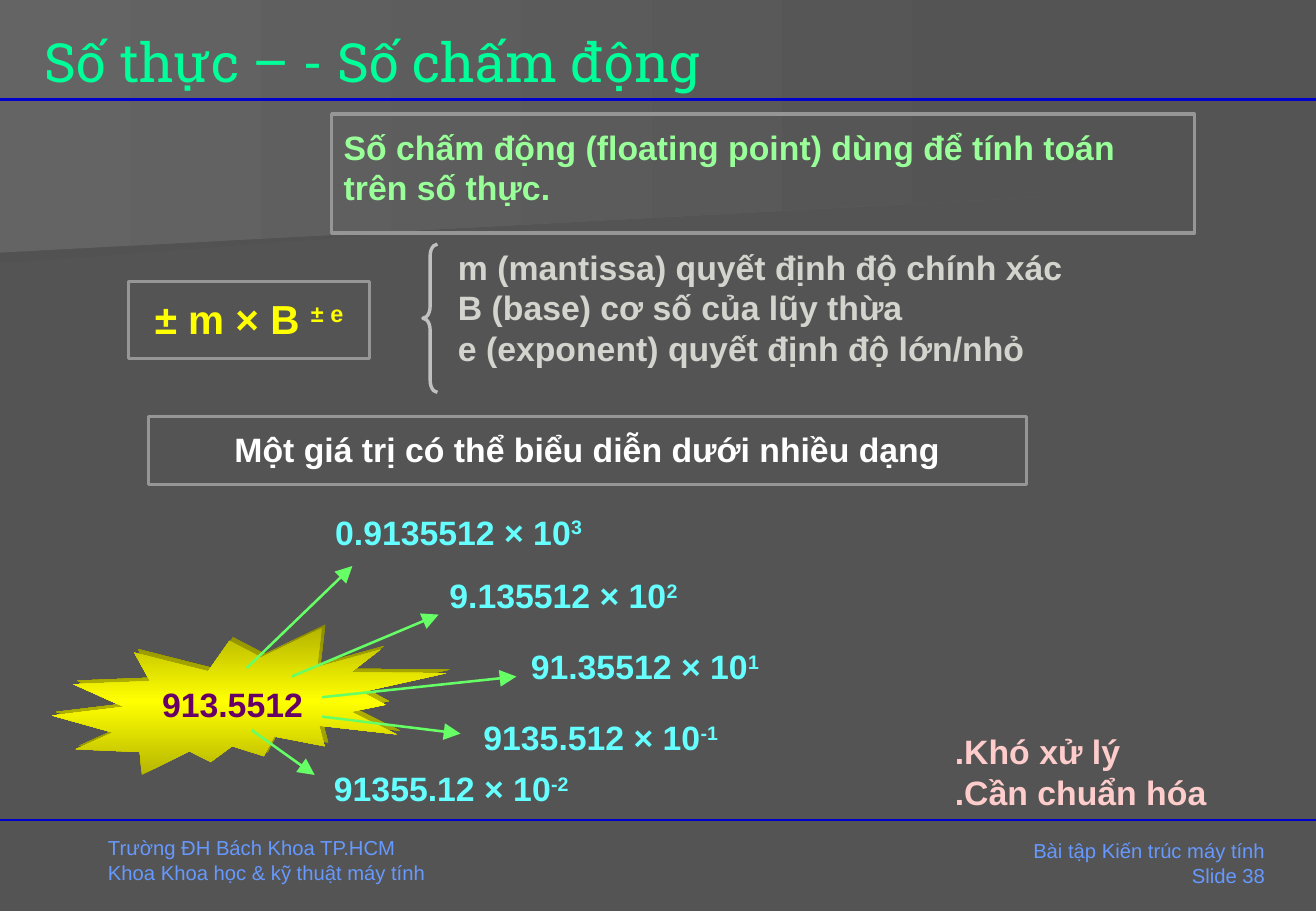
from copy import deepcopy

from lxml import etree
from pptx import Presentation
from pptx.dml.color import RGBColor
from pptx.enum.shapes import MSO_CONNECTOR, MSO_SHAPE
from pptx.enum.text import MSO_ANCHOR, PP_ALIGN
from pptx.oxml.ns import qn
from pptx.util import Inches, Pt

LEFT, CENTER, RIGHT = PP_ALIGN.LEFT, PP_ALIGN.CENTER, PP_ALIGN.RIGHT
TOP, MIDDLE = MSO_ANCHOR.TOP, MSO_ANCHOR.MIDDLE
RECTANGLE, BRACE, SEAL = MSO_SHAPE.RECTANGLE, MSO_SHAPE.LEFT_BRACE, MSO_SHAPE.EXPLOSION2
STRAIGHT = MSO_CONNECTOR.STRAIGHT

COLORS = {
    "background": "545454", "beam": "646464", "beam shade": "525252",
    "rule": "0000CC", "footer": "6699FF", "title": "00FF99",
    "frame": "969696", "brace": "C0C0C0", "intro": "99FF99",
    "formula": "FFFF00", "terms": "D4D4CE", "heading": "FFFFFF",
    "seal": "FFFF00", "seal edge": "B6B600", "seal side": "8C8C00",
    "value": "660066", "form": "66FFFF", "arrow": "66FF66", "remark": "FFCCCC",
}

TITLE = "Số thực – - Số chấm động"
BEAMS = [
    ([(0, 1.01), (8.44, 1.01), (8.43, 1.53), (0, 2.17)], "beam shade"),
    ([(0, 0), (8.58, 0), (8.58, 1.62), (0, 2.08)], "beam"),
]
RULES = [0.82, 6.75]
FOOTERS = [
    ((0.79, 6.83, 3.22, 0.5), LEFT, TOP,
     ["Trường ĐH Bách Khoa TP.HCM", "Khoa Khoa học & kỹ thuật máy tính"]),
    ((7.65, 6.86, 2.86, 0.49), RIGHT, MIDDLE,
     ["Bài tập Kiến trúc máy tính", "Slide 38"]),
]
FRAMES = [
    ((2.73, 0.94, 7.1, 0.98), "intro", 20, LEFT,
     ["Số chấm động (floating point) dùng để tính toán trên số thực."]),
    ((1.06, 2.32, 1.98, 0.63), "formula", 24, CENTER, [("± m × B ", "± e")]),
    ((1.22, 3.43, 7.23, 0.56), "heading", 20, CENTER,
     ["Một giá trị có thể biểu diễn dưới nhiều dạng"]),
]
NOTES = [
    ((3.67, 1.93, 6.23, 1.2), "terms",
     ["m (mantissa) quyết định độ chính xác",
      "B (base) cơ số của lũy thừa",
      "e (exponent) quyết định độ lớn/nhỏ"]),
    ((7.76, 5.92, 2.73, 0.87), "remark", [".Khó xử lý", ".Cần chuẩn hóa"]),
]
BRACE_AREA = (3.48, 2.01, 0.12, 1.22)
SEAL_AREA = (0.43, 5.17, 3.24, 1.21)
SEAL_DEPTH = 0.03
VALUE = "913.5512"
FORMS = [
    ((2.66, 4.11), "0.9135512 × 10", "3", (2.03, 5.5), (2.9, 4.66)),
    ((3.6, 4.63), "9.135512 × 10", "2", (2.4, 5.57), (3.61, 5.06)),
    ((4.27, 5.22), "91.35512 × 10", "1", (2.65, 5.74), (4.25, 5.57)),
    ((3.88, 5.8), "9135.512 × 10", "-1", (2.65, 5.9), (3.79, 6.04)),
    ((2.65, 6.22), "91355.12 × 10", "-2", (2.07, 6.01), (2.59, 6.38)),
]
FORM_SIZE = (2.84, 0.56)

deck = Presentation()
deck.slide_width, deck.slide_height = Inches(10.83), Inches(7.5)
page = deck.slides.add_slide(deck.slide_layouts[5])
shapes = page.shapes


def rgb(name):
    return RGBColor.from_string(COLORS[name])


def inches(values):
    return [Inches(value) for value in values]


def write(box, lines, color, size, align=LEFT, anchor=TOP, bold=True,
          font="Arial", inset=0.1):
    frame = box.text_frame
    frame.word_wrap = True
    frame.vertical_anchor = anchor
    frame.margin_left = frame.margin_right = Inches(0.1)
    frame.margin_top = frame.margin_bottom = Inches(inset)
    for index, line in enumerate(lines):
        para = frame.add_paragraph() if index else frame.paragraphs[0]
        para.alignment = align
        base, *power = (line,) if isinstance(line, str) else line
        para.text = base
        for exponent in power:
            span = para.add_run()
            span.text = exponent
            span._r.get_or_add_rPr().set("baseline", "30000")
        for span in para.runs:
            span.font.name, span.font.size = font, Pt(size)
            span.font.bold = bold
            span.font.color.rgb = rgb(color)


def add_text(area, lines, color, size=20, **options):
    write(shapes.add_textbox(*inches(area)), lines, color, size, **options)


def add_outline(kind, area, color):
    shape = shapes.add_shape(kind, *inches(area))
    shape.shadow.inherit = False
    shape.fill.background()
    shape.line.color.rgb, shape.line.width = rgb(color), Pt(2)
    return shape


def shade(shape, names, angle):
    shape.shadow.inherit = False
    shape.line.fill.background()
    shape.fill.gradient()
    shape.fill.gradient_angle = angle
    stop_list = next(shape._element.iter(qn("a:gsLst")))
    for _ in names[2:]:
        stop_list.append(deepcopy(stop_list[0]))
    for index, (stop, name) in enumerate(zip(shape.fill.gradient_stops, names)):
        stop.position = index / (len(names) - 1)
        stop.color.rgb = rgb(name)


def add_line(start, end, color, arrow=False):
    line = shapes.add_connector(STRAIGHT, *inches(start + end))
    line.line.color.rgb, line.line.width = rgb(color), Pt(1.5)
    if arrow:
        etree.SubElement(line.line._get_or_add_ln(), qn("a:tailEnd"),
                         type="triangle", w="lg", len="lg")
    etree.SubElement(line._element.spPr, qn("a:effectLst"))


page.background.fill.solid()
page.background.fill.fore_color.rgb = rgb("background")
for points, color in BEAMS:
    start, *corners = [inches(point) for point in points]
    outline = shapes.build_freeform(*start)
    outline.add_line_segments(corners)
    shade(outline.convert_to_shape(), [color, "background"], 0)

title = shapes.title
title.left, title.top, title.width, title.height = inches((0.27, 0.19, 10.25, 0.63))
write(title, [TITLE], "title", 32, anchor=MIDDLE, bold=False,
      font="Roboto Slab", inset=0.05)
shapes._spTree.append(title._element)

for height in RULES:
    add_line((0, height), (10.83, height), "rule")
for area, align, anchor, lines in FOOTERS:
    add_text(area, lines, "footer", 12, align=align, anchor=anchor,
             bold=False, inset=0.05)
for area, color, size, align, lines in FRAMES:
    write(add_outline(RECTANGLE, area, "frame"), lines, color, size, align)
for area, color, lines in NOTES:
    add_text(area, lines, color)

brace = add_outline(BRACE, BRACE_AREA, "brace")
brace.adjustments[0], brace.adjustments[1] = 0.81, 0.5

left, top, width, height = SEAL_AREA
side = shapes.add_shape(SEAL, *inches((left + SEAL_DEPTH, top - SEAL_DEPTH, width, height)))
shade(side, ["seal side", "seal edge", "seal side"], 90)
seal = shapes.add_shape(SEAL, *inches(SEAL_AREA))
shade(seal, ["seal edge", "seal", "seal edge"], 90)
write(seal, [VALUE], "value", 20, anchor=MIDDLE)

for corner, base, exponent, start, end in FORMS:
    add_text(corner + FORM_SIZE, [(base, exponent)], "form")
    add_line(start, end, "arrow", arrow=True)

deck.save("out.pptx")
